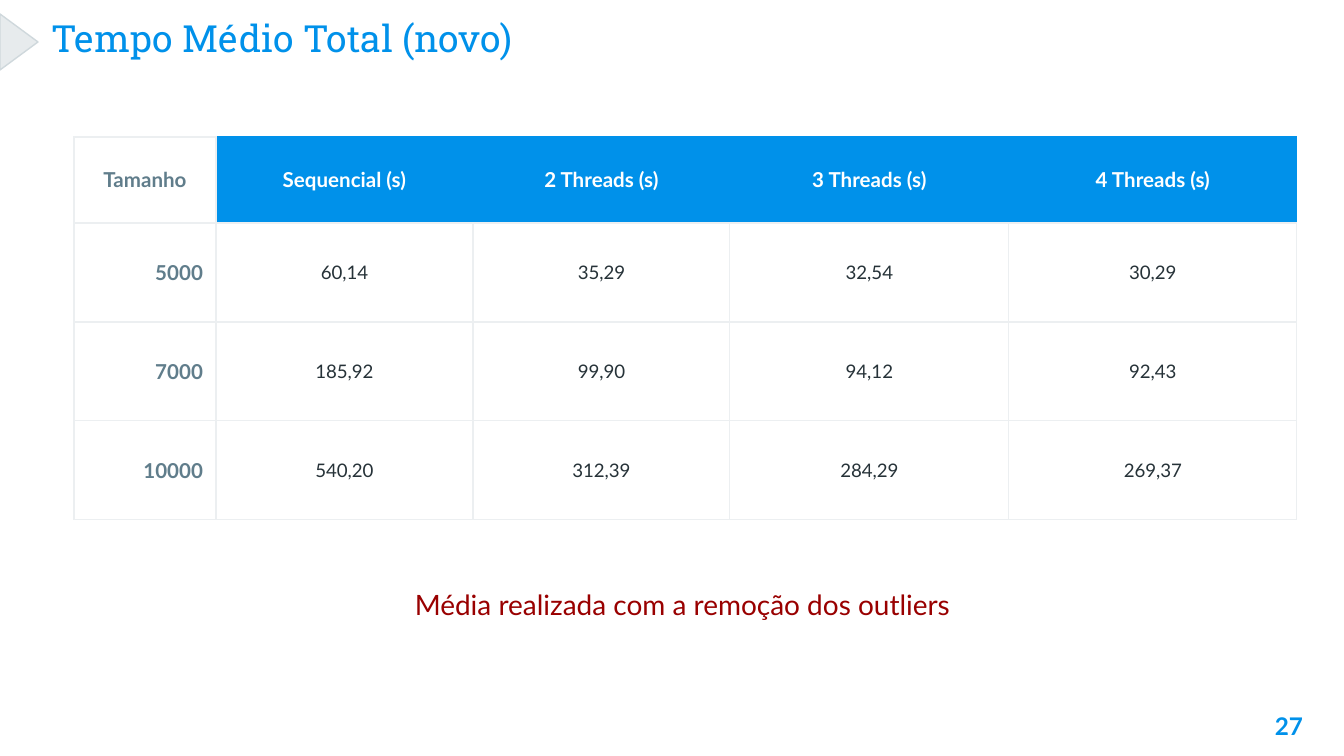
from typing import NamedTuple

from lxml.etree import SubElement
from pptx import Presentation
from pptx.dml.color import RGBColor
from pptx.enum.shapes import MSO_SHAPE
from pptx.enum.text import MSO_ANCHOR, MSO_AUTO_SIZE, PP_ALIGN
from pptx.oxml.ns import qn
from pptx.util import Emu, Pt

SLIDE_WIDTH, SLIDE_HEIGHT = 1344, 756
EMU_PER_PX = 9144000 / SLIDE_WIDTH
INSET = 13
COLORS = {
    "accent": "0091EA",
    "heading": "607D8B",
    "body": "263238",
    "grid": "ECEFF1",
    "marker": "CFD8DC",
    "note": "990000",
    "white": "FFFFFF",
}
COLUMN_WIDTHS = [142, 257, 257, 279, 288]
ROW_HEIGHTS = [86, 99, 99, 99]
TIMES = [
    ["Tamanho", "Sequencial (s)", "2 Threads (s)", "3 Threads (s)", "4 Threads (s)"],
    ["5000", "60,14", "35,29", "32,54", "30,29"],
    ["7000", "185,92", "99,90", "94,12", "92,43"],
    ["10000", "540,20", "312,39", "284,29", "269,37"],
]


class Box(NamedTuple):
    left: int
    top: int
    width: int
    height: int

    def emu(self) -> list[Emu]:
        return [px(length) for length in self]


class CellStyle(NamedTuple):
    color: str
    size: int = 11
    bold: bool = True
    align: PP_ALIGN = PP_ALIGN.CENTER
    fill: str = "white"


CORNER = CellStyle("heading")
COLUMN_HEADING = CellStyle("white", fill="accent")
ROW_HEADING = CellStyle("heading", align=PP_ALIGN.RIGHT)
VALUE = CellStyle("body", size=10, bold=False)


def px(length: int) -> Emu:
    return Emu(round(length * EMU_PER_PX))


def rgb(name: str) -> RGBColor:
    return RGBColor.from_string(COLORS[name])


def write(frame, text: str, *, size: int, color: str, font: str = "Lato",
          bold: bool = False, align: PP_ALIGN = PP_ALIGN.LEFT,
          space_before: int = 0) -> None:
    paragraph = frame.paragraphs[0]
    paragraph.alignment = align
    paragraph.space_before = Pt(space_before)
    run = paragraph.add_run()
    run.text = text
    run.font.name = font
    run.font.size = Pt(size)
    run.font.bold = bold
    run.font.color.rgb = rgb(color)


def set_insets(target) -> None:
    """Give a text frame or a table cell the same margin on all sides."""
    target.margin_left = target.margin_right = px(INSET)
    target.margin_top = target.margin_bottom = px(INSET)


def prepare_frame(frame, anchor: MSO_ANCHOR) -> None:
    frame.word_wrap = True
    frame.auto_size = MSO_AUTO_SIZE.NONE
    frame.vertical_anchor = anchor
    set_insets(frame)


def add_text(slide, box: Box, text: str, **text_format) -> None:
    frame = slide.shapes.add_textbox(*box.emu()).text_frame
    prepare_frame(frame, MSO_ANCHOR.TOP)
    write(frame, text, **text_format)


def set_title(slide, box: Box, text: str) -> None:
    title = slide.shapes.title
    title.left, title.top, title.width, title.height = box.emu()
    prepare_frame(title.text_frame, MSO_ANCHOR.BOTTOM)
    write(title.text_frame, text, size=20, color="accent", font="Roboto Slab")


def add_marker(slide, box: Box) -> None:
    marker = slide.shapes.add_shape(MSO_SHAPE.ISOSCELES_TRIANGLE, *box.emu())
    marker.rotation = 90
    marker.shadow.inherit = False
    marker.fill.solid()
    marker.fill.fore_color.rgb = rgb("marker")
    fill_color = marker.fill._xPr.find(qn("a:solidFill"))[0]
    SubElement(fill_color, qn("a:alpha"), val="49000")
    marker.line.color.rgb = rgb("marker")
    marker.line.width = Pt(0.75)


def set_borders(cell, **sides: str) -> None:
    properties = cell._tc.get_or_add_tcPr()
    for side in "LRTB":
        line = SubElement(properties, qn(f"a:ln{side}"), w=str(Pt(0.75)))
        fill = SubElement(line, qn("a:solidFill"))
        SubElement(fill, qn("a:srgbClr"), val=COLORS[sides.get(side, "grid")])


def cell_style(row: int, column: int) -> CellStyle:
    if row == 0:
        return COLUMN_HEADING if column else CORNER
    return VALUE if column else ROW_HEADING


def fill_cell(cell, text: str, row: int, column: int) -> None:
    style = cell_style(row, column)
    if style is COLUMN_HEADING:
        set_borders(cell, L="grid" if column == 1 else "accent", R="accent", T="accent")
    else:
        set_borders(cell)
    cell.fill.solid()
    cell.fill.fore_color.rgb = rgb(style.fill)
    cell.vertical_anchor = MSO_ANCHOR.MIDDLE
    set_insets(cell)
    write(cell.text_frame, text, size=style.size, color=style.color,
          bold=style.bold, align=style.align)


def add_times_table(slide, left: int, top: int) -> None:
    box = Box(left, top, sum(COLUMN_WIDTHS), sum(ROW_HEIGHTS))
    table = slide.shapes.add_table(len(ROW_HEIGHTS), len(COLUMN_WIDTHS), *box.emu()).table
    table.first_row = table.horz_banding = False
    for column, width in zip(table.columns, COLUMN_WIDTHS):
        column.width = px(width)
    for row, height in zip(table.rows, ROW_HEIGHTS):
        row.height = px(height)
    for r, texts in enumerate(TIMES):
        for c, text in enumerate(texts):
            fill_cell(table.cell(r, c), text, r, c)


def main() -> None:
    presentation = Presentation()
    presentation.slide_width = px(SLIDE_WIDTH)
    presentation.slide_height = px(SLIDE_HEIGHT)
    slide = presentation.slides.add_slide(presentation.slide_layouts[5])

    add_text(slide, Box(1235, 698, 81, 58), "27", size=13, color="accent",
             bold=True, align=PP_ALIGN.RIGHT)
    add_times_table(slide, 74, 137)
    set_title(slide, Box(38, 13, 1142, 60), "Tempo Médio Total (novo)")
    add_marker(slide, Box(-9, 23, 56, 38))
    add_text(slide, Box(188, 575, 989, 48), "Média realizada com a remoção dos outliers",
             size=15, color="note", align=PP_ALIGN.CENTER, space_before=6)
    presentation.save("out.pptx")


if __name__ == "__main__":
    main()
